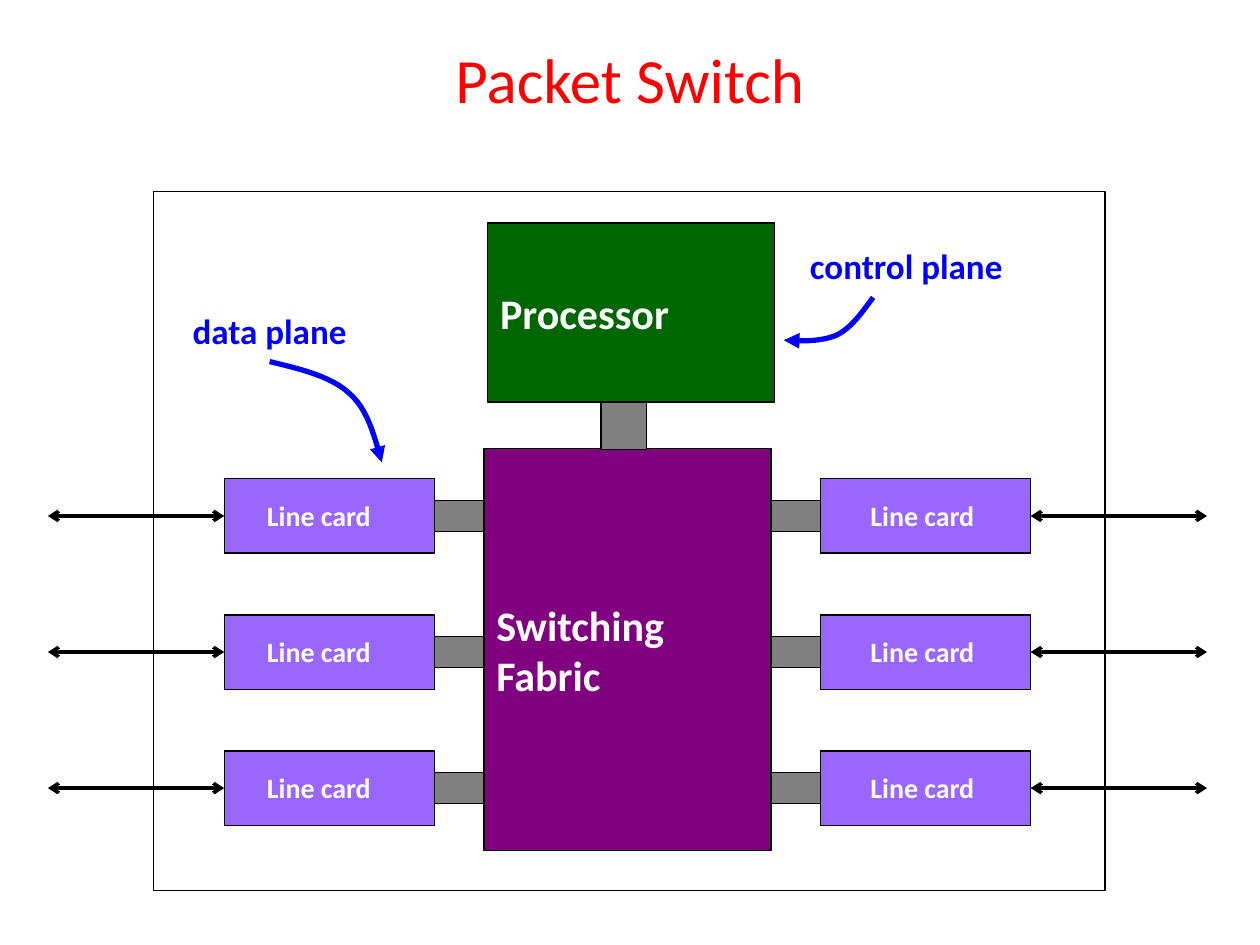
from lxml.etree import SubElement
from pptx import Presentation
from pptx.dml.color import RGBColor
from pptx.enum.shapes import MSO_CONNECTOR, MSO_SHAPE
from pptx.enum.text import MSO_ANCHOR, PP_ALIGN
from pptx.oxml.ns import qn
from pptx.util import Inches, Pt

COLORS = {
    "title": "FF0000", "fabric": "800080", "processor": "006600",
    "link": "808080", "card": "9966FF", "plane": "0000FF",
    "light": "FFFFFF", "outline": "000000",
}
STYLES = {
    "title": {"size": Pt(36), "bold": False},
    "block": {"size": Pt(24), "bold": True},
    "card": {"size": Pt(16), "bold": True},
    "plane": {"size": Pt(20), "bold": True},
}
TITLE = "Packet Switch"
CARD = "Line card"
BLOCKS = [
    ("fabric", ["Switching", "Fabric"], (3.84, 3.56, 2.28, 3.19)),
    ("processor", ["Processor"], (3.87, 1.77, 2.28, 1.42)),
    ("link", [], (4.77, 3.19, 0.36, 0.38)),
]
FRAME = (1.22, 1.52, 7.55, 5.55)
PLANES = [
    ("data plane", (1.43, 2.41, 1.57, 0.43),
     [(2.14, 2.87), (2.39, 2.93), (2.63, 2.99), (2.77, 3.12),
      (2.92, 3.25), (2.97, 3.46), (3.03, 3.67)]),
    ("control plane", (6.33, 1.89, 1.94, 0.43),
     [(6.93, 2.36), (6.84, 2.48), (6.76, 2.6), (6.64, 2.66),
      (6.52, 2.71), (6.37, 2.71), (6.22, 2.7)]),
]
ROWS, FIRST_ROW, ROW_STEP = 3, 3.8, 1.08
CARD_W, CARD_H = 1.67, 0.59
LINK_W, LINK_H = 0.39, 0.25
CABLE = 1.4
SIDES = [
    {"card": 1.78, "link": 3.45, "label": 2.02, "port": 1, "outer": 1.78 - CABLE},
    {"card": 6.51, "link": 6.12, "label": 6.81, "port": 3, "outer": 6.51 + CARD_W + CABLE},
]
CURVE_STEPS = 12


def rgb(name):
    return RGBColor.from_string(COLORS[name])


def outline(item, color, width):
    item.line.color.rgb = rgb(color)
    item.line.width = Pt(width)


def add_arrowheads(item, **ends):
    line = item.line._get_or_add_ln()
    for end, kind in ends.items():
        SubElement(line, qn(f"a:{end}"), type=kind)


def write(frame, lines, style, color, align=PP_ALIGN.LEFT, anchor=MSO_ANCHOR.MIDDLE):
    frame.word_wrap = True
    frame.vertical_anchor = anchor
    for index, words in enumerate(lines):
        paragraph = frame.paragraphs[0] if index == 0 else frame.add_paragraph()
        paragraph.alignment = align
        run = paragraph.add_run()
        run.text = words
        run.font.name = "Calibri"
        run.font.color.rgb = rgb(color)
        for attribute, value in STYLES[style].items():
            setattr(run.font, attribute, value)


def add_label(slide, words, place, style, color, **layout):
    label = slide.shapes.add_textbox(*map(Inches, place))
    write(label.text_frame, [words], style, color, **layout)


def add_box(slide, place, fill=None):
    box = slide.shapes.add_shape(MSO_SHAPE.RECTANGLE, *map(Inches, place))
    box.shadow.inherit = False
    if fill:
        box.fill.solid()
        box.fill.fore_color.rgb = rgb(fill)
    else:
        box.fill.background()
    outline(box, "outline", 0.75)
    return box


def add_line_card(slide, side, top):
    middle = top + CARD_H / 2
    card = add_box(slide, (side["card"], top, CARD_W, CARD_H), "card")
    add_box(slide, (side["link"], middle - LINK_H / 2, LINK_W, LINK_H), "link")
    add_label(slide, CARD, (side["label"], top + 0.11, 1.18, 0.37),
              "card", "light", anchor=MSO_ANCHOR.TOP)
    outer, level = Inches(side["outer"]), Inches(middle)
    cable = slide.shapes.add_connector(MSO_CONNECTOR.STRAIGHT, outer, level, outer, level)
    cable.begin_connect(card, side["port"])
    outline(cable, "outline", 2)
    add_arrowheads(cable, headEnd="arrow", tailEnd="arrow")
    SubElement(cable._element.spPr, qn("a:effectLst"))


def curve_points(controls):
    for start in range(0, len(controls) - 1, 3):
        segment = controls[start:start + 4]
        for step in range(1, CURVE_STEPS + 1):
            t = step / CURVE_STEPS
            weights = ((1 - t) ** 3, 3 * t * (1 - t) ** 2, 3 * t * t * (1 - t), t ** 3)
            yield tuple(Inches(sum(w * point[axis] for w, point in zip(weights, segment)))
                        for axis in (0, 1))


def add_pointer(slide, controls):
    builder = slide.shapes.build_freeform(*map(Inches, controls[0]))
    builder.add_line_segments(list(curve_points(controls)), close=False)
    pointer = builder.convert_to_shape()
    pointer.shadow.inherit = False
    pointer.fill.background()
    outline(pointer, "plane", 3)
    add_arrowheads(pointer, tailEnd="triangle")


def main():
    deck = Presentation()
    deck.slide_width, deck.slide_height = Inches(10), Inches(7.5)
    slide = deck.slides.add_slide(deck.slide_layouts[6])
    add_label(slide, TITLE, (0, 0, 10, 1.25), "title", "title", align=PP_ALIGN.CENTER)
    for fill, lines, place in BLOCKS:
        block = add_box(slide, place, fill)
        write(block.text_frame, lines, "block", "light")
    for side in SIDES:
        for row in range(ROWS):
            add_line_card(slide, side, FIRST_ROW + row * ROW_STEP)
    add_box(slide, FRAME)
    for words, place, controls in PLANES:
        add_pointer(slide, controls)
        add_label(slide, words, place, "plane", "plane", anchor=MSO_ANCHOR.TOP)
    deck.save("out.pptx")


if __name__ == "__main__":
    main()
